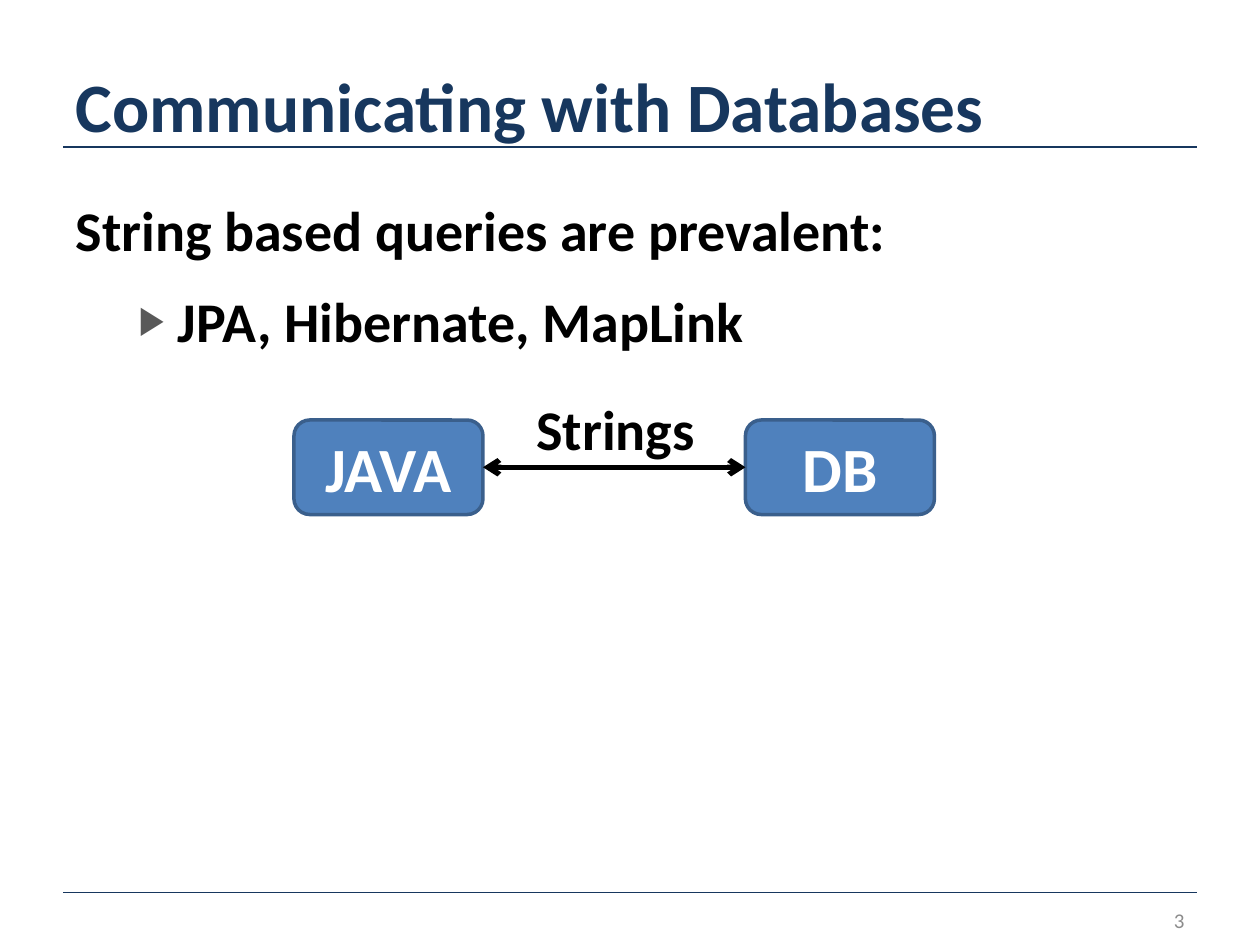
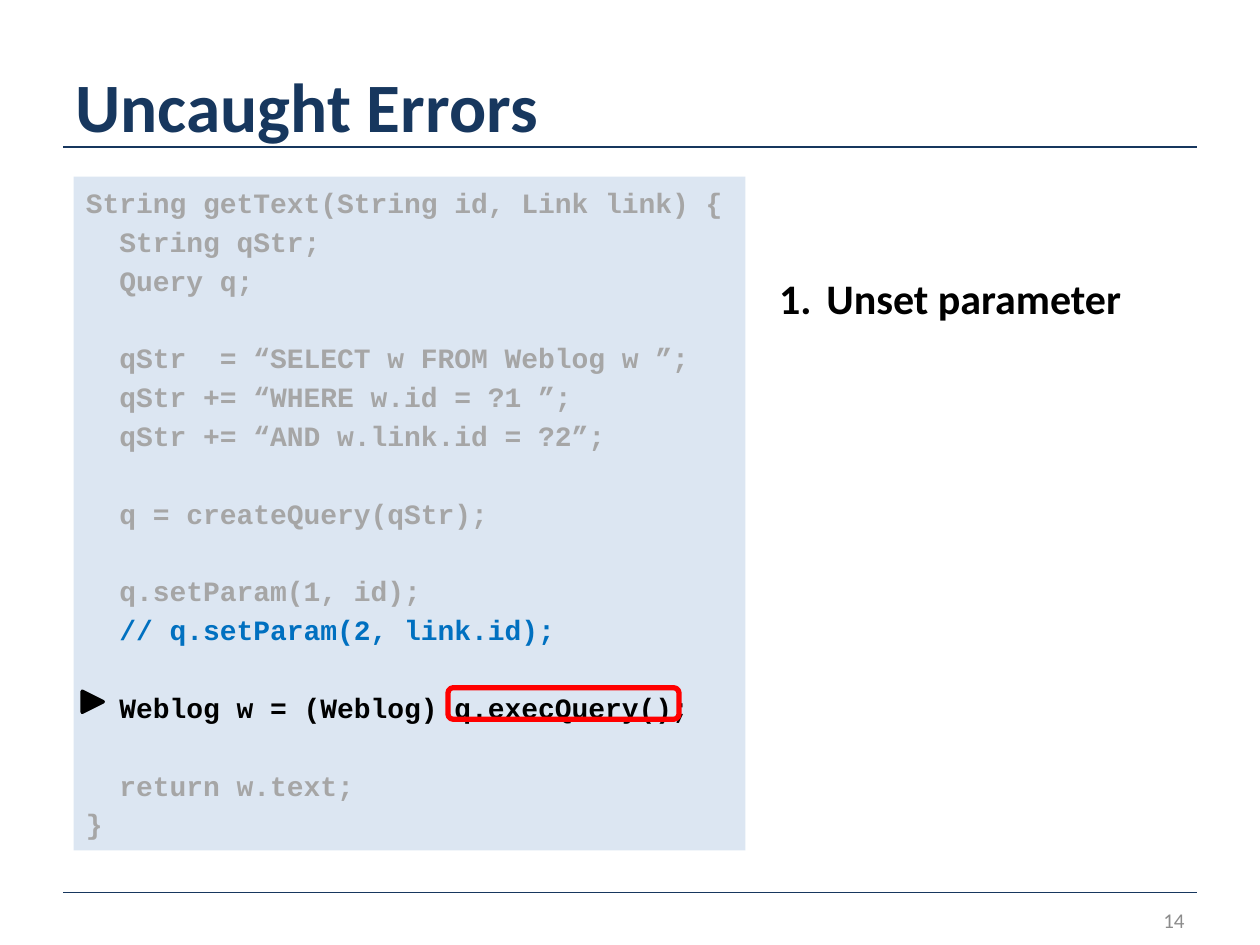
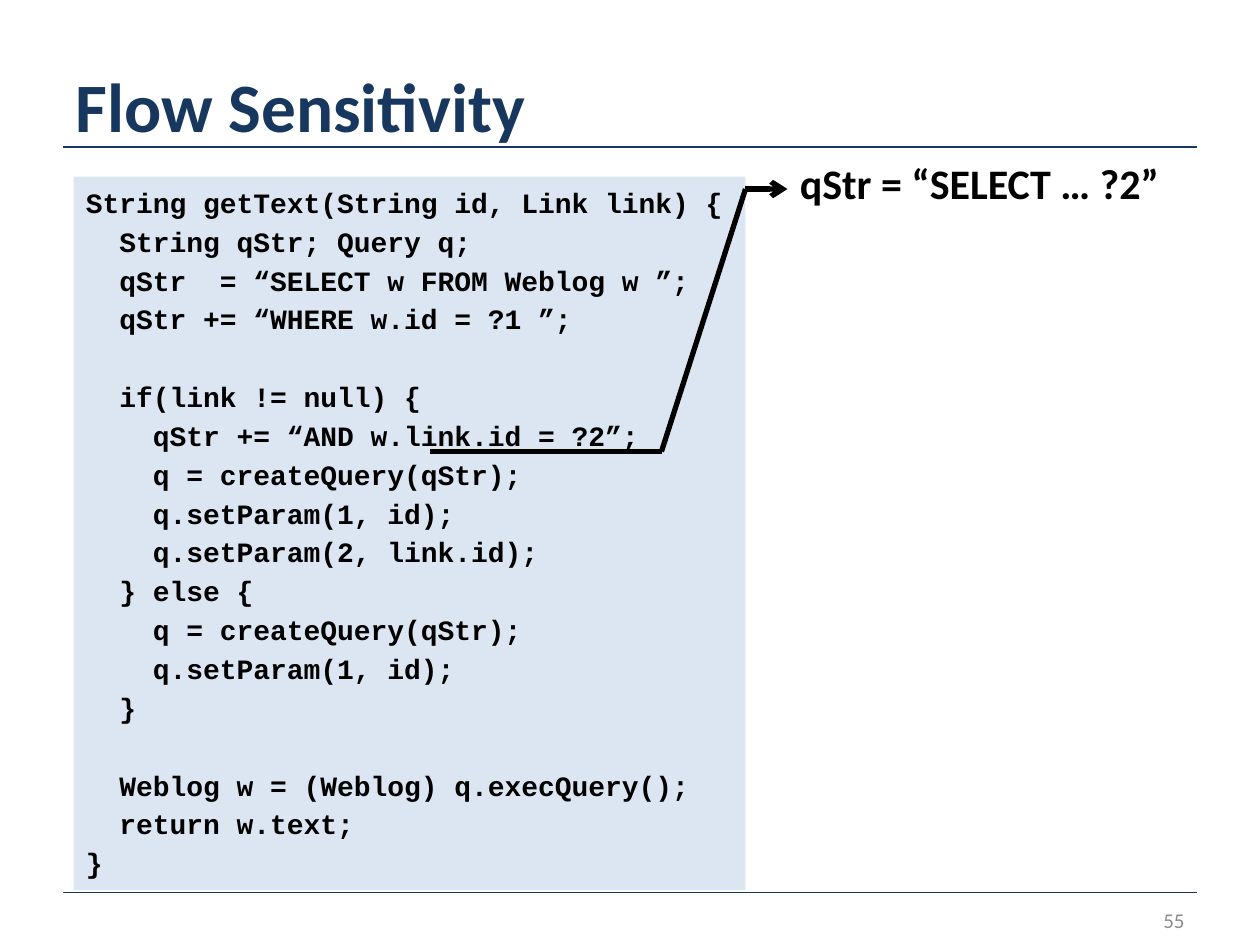
"""Build three slides about string based database queries."""
from lxml import etree
from pptx import Presentation
from pptx.dml.color import RGBColor
from pptx.enum import shapes, text
from pptx.oxml import ns
from pptx.util import Pt

NAVY = RGBColor(0x17, 0x37, 0x5E)
BLACK = RGBColor(0, 0, 0)
WHITE = RGBColor(0xFF, 0xFF, 0xFF)
BLUE = RGBColor(0x4F, 0x81, 0xBD)
BLUE_EDGE = RGBColor(0x3A, 0x5F, 0x8C)
PANEL = RGBColor(0xDC, 0xE6, 0xF2)
DIMMED = RGBColor(0xA6, 0xA6, 0xA6)
COMMENT = RGBColor(0x00, 0x70, 0xC0)
PAGE_GRAY = RGBColor(0x8C, 0x8C, 0x8C)
BULLET_GRAY = RGBColor(0x59, 0x59, 0x59)
RED = RGBColor(0xFF, 0, 0)

TITLE_AND_BODY, TITLE_ONLY = 1, 5
TOP, LEFT, BOTTOM, RIGHT = range(4)

UNSET_CODE = """String getText(String id, Link link) {
  String qStr;
  Query q;

  qStr  = “SELECT w FROM Weblog w ”;
  qStr += “WHERE w.id = ?1 ”;
  qStr += “AND w.link.id = ?2”;

  q = createQuery(qStr);

  q.setParam(1, id);
  // q.setParam(2, link.id);

  Weblog w = (Weblog) q.execQuery();

  return w.text;
}"""

FLOW_CODE = """String getText(String id, Link link) {
  String qStr; Query q;
  qStr  = “SELECT w FROM Weblog w ”;
  qStr += “WHERE w.id = ?1 ”;

  if(link != null) {
    qStr += “AND w.link.id = ?2”;
    q = createQuery(qStr);
    q.setParam(1, id);
    q.setParam(2, link.id);
  } else {
    q = createQuery(qStr);
    q.setParam(1, id);
  }

  Weblog w = (Weblog) q.execQuery();
  return w.text;
}"""


def add_element(parent, tag, **attributes):
    """Append a drawing element and return it."""
    return etree.SubElement(parent, ns.qn(tag), attributes)


def write_text(paragraph, content, size=32, color=BLACK, bold=True, font="Calibri",
               align=text.PP_ALIGN.LEFT, before=0, after=0, line_spacing=None):
    """Write one formatted run into a paragraph."""
    paragraph.alignment = align
    paragraph.space_before, paragraph.space_after = Pt(before), Pt(after)
    if line_spacing:
        paragraph.line_spacing = Pt(line_spacing)
    if content:
        run = paragraph.add_run()
        run.text = content
        target = run.font
    else:
        target = paragraph.font
    target.name, target.size, target.bold = font, Pt(size), bold
    target.color.rgb = color


def place(shape, left, top, width, height):
    """Move and size a shape, in points."""
    shape.left, shape.top, shape.width, shape.height = map(Pt, (left, top, width, height))


def set_indent(paragraph, margin, hanging):
    """Set a hanging indent and return the paragraph properties."""
    properties = paragraph._p.get_or_add_pPr()
    properties.set("marL", str(Pt(margin)))
    properties.set("indent", str(-Pt(hanging)))
    return properties


class Deck:
    """Holds the shared style and the current slide."""

    def __init__(self):
        """Start an empty 4:3 presentation."""
        self.presentation = Presentation()
        self.presentation.slide_width = Pt(720)
        self.presentation.slide_height = Pt(540)
        self.slide = None

    def add_slide(self, title, number, layout):
        """Add a slide with its title, rules and page number."""
        self.slide = self.presentation.slides.add_slide(
            self.presentation.slide_layouts[layout])
        heading = self.slide.shapes.title
        place(heading, 36, 36, 648, 48)
        frame = heading.text_frame
        frame.auto_size = text.MSO_AUTO_SIZE.NONE
        frame.vertical_anchor = text.MSO_ANCHOR.MIDDLE
        write_text(frame.paragraphs[0], title, size=39.6, color=NAVY)
        for y in (84, 510):
            self.line((36, y), (684, y), NAVY, 1)
        self.label(str(number), 516, 511, 168, 29, size=12, color=PAGE_GRAY,
                   bold=False, align=text.PP_ALIGN.RIGHT, anchor=text.MSO_ANCHOR.MIDDLE)

    def body(self, left, top, width, height):
        """Place the body placeholder and return its text frame."""
        placeholder = self.slide.placeholders[1]
        place(placeholder, left, top, width, height)
        placeholder.text_frame.auto_size = text.MSO_AUTO_SIZE.NONE
        return placeholder.text_frame

    def label(self, content, left, top, width, height, wrap=True,
              anchor=text.MSO_ANCHOR.TOP, **style):
        """Add a one-paragraph text box."""
        box = self.slide.shapes.add_textbox(*map(Pt, (left, top, width, height)))
        box.text_frame.word_wrap = wrap
        box.text_frame.vertical_anchor = anchor
        write_text(box.text_frame.paragraphs[0], content, **style)

    def shape(self, kind, left, top, width, height, fill=None, edge=None, weight=2):
        """Add a preset shape and return it."""
        shape = self.slide.shapes.add_shape(kind, *map(Pt, (left, top, width, height)))
        shape.shadow.inherit = False
        if fill is None:
            shape.fill.background()
        else:
            shape.fill.solid()
            shape.fill.fore_color.rgb = fill
        if edge is None:
            shape.line.fill.background()
        else:
            shape.line.color.rgb = edge
            shape.line.width = Pt(weight)
        return shape

    def node(self, name, left):
        """Add a named rounded box and return it."""
        box = self.shape(shapes.MSO_SHAPE.ROUNDED_RECTANGLE, left, 240, 108, 54,
                         BLUE, BLUE_EDGE)
        write_text(box.text_frame.paragraphs[0], name, size=36, color=WHITE,
                   align=text.PP_ALIGN.CENTER)
        return box

    def line(self, start, end, color=BLACK, weight=3, ends=()):
        """Add a straight connector with arrowheads at the named ends."""
        connector = self.slide.shapes.add_connector(
            shapes.MSO_CONNECTOR.STRAIGHT, *map(Pt, start + end))
        connector.line.color.rgb = color
        connector.line.width = Pt(weight)
        for tag in ends:
            add_element(connector.line._get_or_add_ln(), tag, type="arrow")
        add_element(connector._element.spPr, "a:effectLst")
        return connector

    def code(self, source, height, color=BLACK, highlights=None):
        """Add a code panel, colouring the highlighted line numbers."""
        panel = self.shape(shapes.MSO_SHAPE.RECTANGLE, 42, 101, 384, height, PANEL)
        frame = panel.text_frame
        frame.vertical_anchor = text.MSO_ANCHOR.TOP
        frame.margin_top = Pt(5)
        for index, content in enumerate(source.split("\n")):
            paragraph = frame.add_paragraph() if index else frame.paragraphs[0]
            write_text(paragraph, content, size=16, font="Courier New",
                       color=(highlights or {}).get(index + 1, color),
                       before=3 if index else 0, line_spacing=19.2)


def build_databases(deck):
    """Show how Java and the database exchange strings."""
    deck.add_slide("Communicating with Databases", 3, TITLE_AND_BODY)
    frame = deck.body(36, 108, 546, 90)
    lead, item = frame.paragraphs[0], frame.add_paragraph()
    add_element(set_indent(lead, 27, 27), "a:buNone")
    write_text(lead, "String based queries are prevalent:", after=6)
    item.level = 1
    properties = set_indent(item, 58.5, 22.5)
    add_element(add_element(properties, "a:buClr"), "a:srgbClr", val=str(BULLET_GRAY))
    add_element(properties, "a:buSzPct", val="70000")
    add_element(properties, "a:buChar", char="▶")
    write_text(item, "JPA, Hibernate, MapLink", before=7.8, after=6)
    java, database = deck.node("JAVA", 168), deck.node("DB", 426)
    link = deck.line((276, 267), (426, 267), ends=("a:headEnd", "a:tailEnd"))
    link.begin_connect(java, RIGHT)
    link.end_connect(database, LEFT)
    deck.label("Strings", 299.5, 222, 108, 46)


def build_errors(deck):
    """Show the unset parameter failing when the query runs."""
    deck.add_slide("Uncaught Errors", 14, TITLE_AND_BODY)
    deck.code(UNSET_CODE, 385, DIMMED, {12: COMMENT, 14: BLACK})
    paragraph = deck.body(438, 152, 246, 36).paragraphs[0]
    add_element(set_indent(paragraph, 27, 27), "a:buAutoNum", type="arabicPeriod")
    write_text(paragraph, "Unset parameter", size=24, after=12)
    marker = deck.shape(shapes.MSO_SHAPE.ISOSCELES_TRIANGLE, 47, 395, 12, 12, BLACK, BLACK)
    marker.rotation = 90
    deck.shape(shapes.MSO_SHAPE.ROUNDED_RECTANGLE, 256, 393, 132, 18, edge=RED, weight=3)


def build_flow(deck):
    """Trace the query string out of the conditional branch."""
    deck.add_slide("Flow Sensitivity", 55, TITLE_ONLY)
    deck.code(FLOW_CODE, 407.5)
    underline, corner, exit_point, label_edge = (246, 258), (378, 258), (426, 108), (450, 108)
    deck.line(underline, corner)
    deck.line(corner, exit_point)
    deck.line(exit_point, label_edge, ends=("a:tailEnd",))
    deck.label("qStr = “SELECT … ?2”", 450, 86.5, 222, 36, wrap=False, size=24)


def main():
    """Build and save the presentation."""
    deck = Deck()
    build_databases(deck)
    build_errors(deck)
    build_flow(deck)
    deck.presentation.save("out.pptx")


if __name__ == "__main__":
    main()
